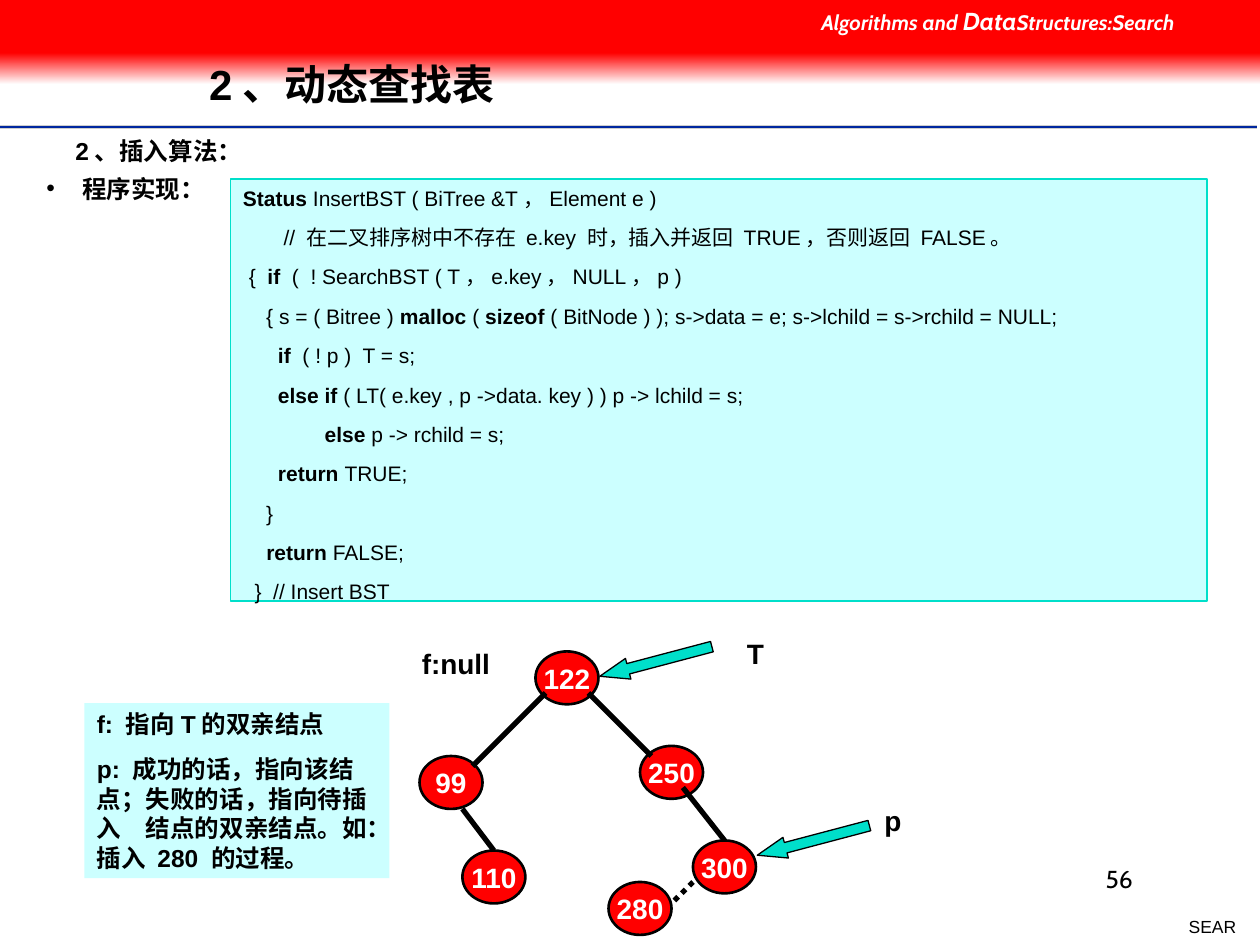
from lxml.etree import SubElement
from pptx import Presentation
from pptx.dml.color import RGBColor
from pptx.enum.dml import MSO_LINE_DASH_STYLE as Dash
from pptx.enum.shapes import MSO_CONNECTOR as Connector, MSO_SHAPE as Shape
from pptx.enum.text import MSO_ANCHOR as Anchor, MSO_AUTO_SIZE as AutoSize, PP_ALIGN as Align
from pptx.oxml.ns import qn
from pptx.util import Inches, Pt

COLORS = {
    "red": "FF0000", "white": "FFFFFF", "black": "000000", "navy": "00279F",
    "grey": "CECECE", "pale": "CCFFFF", "teal": "00DFCA",
}

CODE = [
    "|Status| InsertBST ( BiTree &T，Element e )",
    "       // 在二叉排序树中不存在 e.key 时，插入并返回 TRUE，否则返回 FALSE。",
    " {  |if  |(  ! SearchBST ( T，e.key，NULL，p )",
    "    { s = ( Bitree ) |malloc |( |sizeof |( BitNode ) ); s->data = e; s->lchild = s->rchild = NULL;",
    "      |if  |( ! p )  T = s;",
    "      |else if |( LT( e.key , p ->data. key ) ) p -> lchild = s;",
    "              |else |p -> rchild = s;",
    "      |return |TRUE;",
    "    }",
    "    |return |FALSE;",
    "  }  // Insert BST",
]
NOTES = [
    "f: 指向T的双亲结点",
    "p: 成功的话，指向该结点；失败的话，指向待插入　结点的双亲结点。如：插入 280 的过程。",
]

# Tree parts, relative to the tree's box
NODE_SIZE = (0.5, 0.42)
NODES = {"122": (1, 0.09), "250": (1.83, 0.84), "300": (2.25, 1.59),
         "110": (0.42, 1.67), "99": (0.08, 0.92), "280": (1.58, 1.92)}
EDGES = [((1.08, 0.42), (0.5, 1)), ((1.42, 0.42), (1.92, 0.92)),
         ((2.17, 1.17), (2.5, 1.59)), ((0.42, 1.34), (0.67, 1.67))]
NEW_EDGE = ((2.25, 1.92), (2.08, 2.09))
POINTERS = [(1.87, -0.29), (3.12, 1.13)]
LABELS = {"T": (2.58, -0.08), "p": (3.67, 1.25), "f:null": (0, 0)}


def color(name):
    return RGBColor.from_string(COLORS[name])


def write(shape, paragraphs, size=14, font="Arial", fill="black", bold=True, italic=False,
          align=Align.LEFT, anchor=Anchor.TOP, wrap=True, gap=0, marked_bold=True, marked_size=None):
    """Fill a shape with paragraphs; text between bars takes the marked format."""
    frame = shape.text_frame
    frame.auto_size = AutoSize.NONE
    frame.word_wrap = wrap
    frame.vertical_anchor = anchor
    for index, text in enumerate(paragraphs):
        paragraph = frame.add_paragraph() if index else frame.paragraphs[0]
        paragraph.alignment = align
        paragraph.space_before = Pt(gap if index else 0)
        for position, part in enumerate(text.split("|")):
            if not part:
                continue
            marked = position % 2 == 1
            run = paragraph.add_run()
            run.text = part
            run.font.name = font
            run.font.size = Pt(marked_size if marked and marked_size else size)
            run.font.bold = marked_bold if marked else bold
            run.font.italic = italic
            run.font.color.rgb = color(fill)


def add_label(slide, box, text, **text_format):
    label = slide.shapes.add_textbox(*map(Inches, box))
    write(label, [text], **text_format)
    return label


def add_block(slide, kind, box, fill=None, line=None, width=0.75):
    block = slide.shapes.add_shape(kind, *map(Inches, box))
    block.shadow.inherit = False
    if fill:
        block.fill.solid()
        block.fill.fore_color.rgb = color(fill)
    if line:
        block.line.color.rgb = color(line)
        block.line.width = Pt(width)
    else:
        block.line.fill.background()
    return block


def add_line(slide, start, end, fill="black", width=3, dash=None):
    line = slide.shapes.add_connector(Connector.STRAIGHT, *map(Inches, (*start, *end)))
    line.line.color.rgb = color(fill)
    line.line.width = Pt(width)
    if dash:
        line.line.dash_style = dash
    SubElement(line.element.spPr, qn("a:effectLst"))


def add_header(slide, left, top, width):
    # Rules below the title
    for y, fill, weight in ((1.01, "grey", 2), (1.01, "navy", 1), (1.03, "white", 1)):
        add_line(slide, (left, top + y), (left + width - 0.02, top + y), fill, weight)
    # Red band fading to white
    fade = add_block(slide, Shape.RECTANGLE, (left, top + 0.42, width, 0.25))
    fade.fill.gradient()
    fade.fill.gradient_angle = 270
    for stop, name, position in zip(fade.fill.gradient_stops, ("red", "white"), (0, 1)):
        stop.color.rgb = color(name)
        stop.position = position
    add_block(slide, Shape.RECTANGLE, (left, top, width, 0.42), "red")
    add_label(slide, (left + 6.42, top, 3.58, 0.34), "Algorithms and |Data|Structures:Search",
              size=12, font="Cabin", fill="white", italic=True, marked_size=14)
    # Title, raised above the band
    title = slide.shapes.title
    title.left, title.top, title.width, title.height = map(
        Inches, (left + 1.56, top + 0.32, 7.55, 0.74))
    write(title, ["2、动态查找表"], size=24, anchor=Anchor.MIDDLE)
    title.text_frame.paragraphs[0].line_spacing = 0.9
    title.element.getparent().append(title.element)


def add_algorithm(slide, left, top, width, height):
    add_label(slide, (left + 0.49, top, 1.6, 0.34), "2、插入算法：")
    item = add_label(slide, (left, top + 0.3, 1.83, 0.34), " 程序实现：")
    properties = item.text_frame.paragraphs[0]._p.get_or_add_pPr()
    properties.set("marL", str(Inches(0.5)))
    properties.set("indent", str(Inches(-0.24)))
    SubElement(properties, qn("a:buFont")).set("typeface", "Arial")
    SubElement(properties, qn("a:buChar")).set("char", "•")
    code = add_block(slide, Shape.RECTANGLE,
                     (left + 1.82, top + 0.39, width - 1.82, height - 0.39), "pale", "teal")
    write(code, CODE, size=12, bold=False, gap=8.1)


def add_notes(slide, *box):
    notes = add_block(slide, Shape.RECTANGLE, box, "pale")
    write(notes, NOTES, gap=9)


def add_tree(slide, left, top):
    def place(point):
        return left + point[0], top + point[1]

    for key, point in NODES.items():
        node = add_block(slide, Shape.OVAL, (*place(point), *NODE_SIZE), "red", "black", 1.5)
        write(node, [key], size=16, fill="white", align=Align.CENTER,
              anchor=Anchor.MIDDLE, wrap=False)
    for start, end in EDGES:
        add_line(slide, place(start), place(end))
    add_line(slide, *map(place, NEW_EDGE), dash=Dash.ROUND_DOT)
    # Pointers to the root and to the new node's parent
    for point in POINTERS:
        arrow = add_block(slide, Shape.DOWN_ARROW, (*place(point), 0.17, 0.92), "teal", "black")
        arrow.adjustments[0], arrow.adjustments[1] = 0.5, 1.37
        arrow.rotation = 75.2
    for text, point in LABELS.items():
        add_label(slide, (*place(point), 1, 0.37), text, size=16)


def add_footer(slide, left, top):
    add_label(slide, (left, top, 1.92, 0.5), "56", font="Cabin", bold=False, align=Align.RIGHT)
    add_label(slide, (left + 1.74, top + 0.41, 1, 0.27), "SEAR", size=10, bold=False,
              align=Align.RIGHT)


def main():
    presentation = Presentation()
    presentation.slide_width, presentation.slide_height = Inches(10), Inches(7.5)
    slide = presentation.slides.add_slide(presentation.slide_layouts[5])
    add_header(slide, 0, 0, 10)
    add_footer(slide, 7.17, 6.81)
    add_algorithm(slide, 0.01, 1.03, 9.57, 3.74)
    add_notes(slide, 0.67, 5.58, 2.42, 1.39)
    add_tree(slide, 3.25, 5.08)
    presentation.save("out.pptx")


if __name__ == "__main__":
    main()
